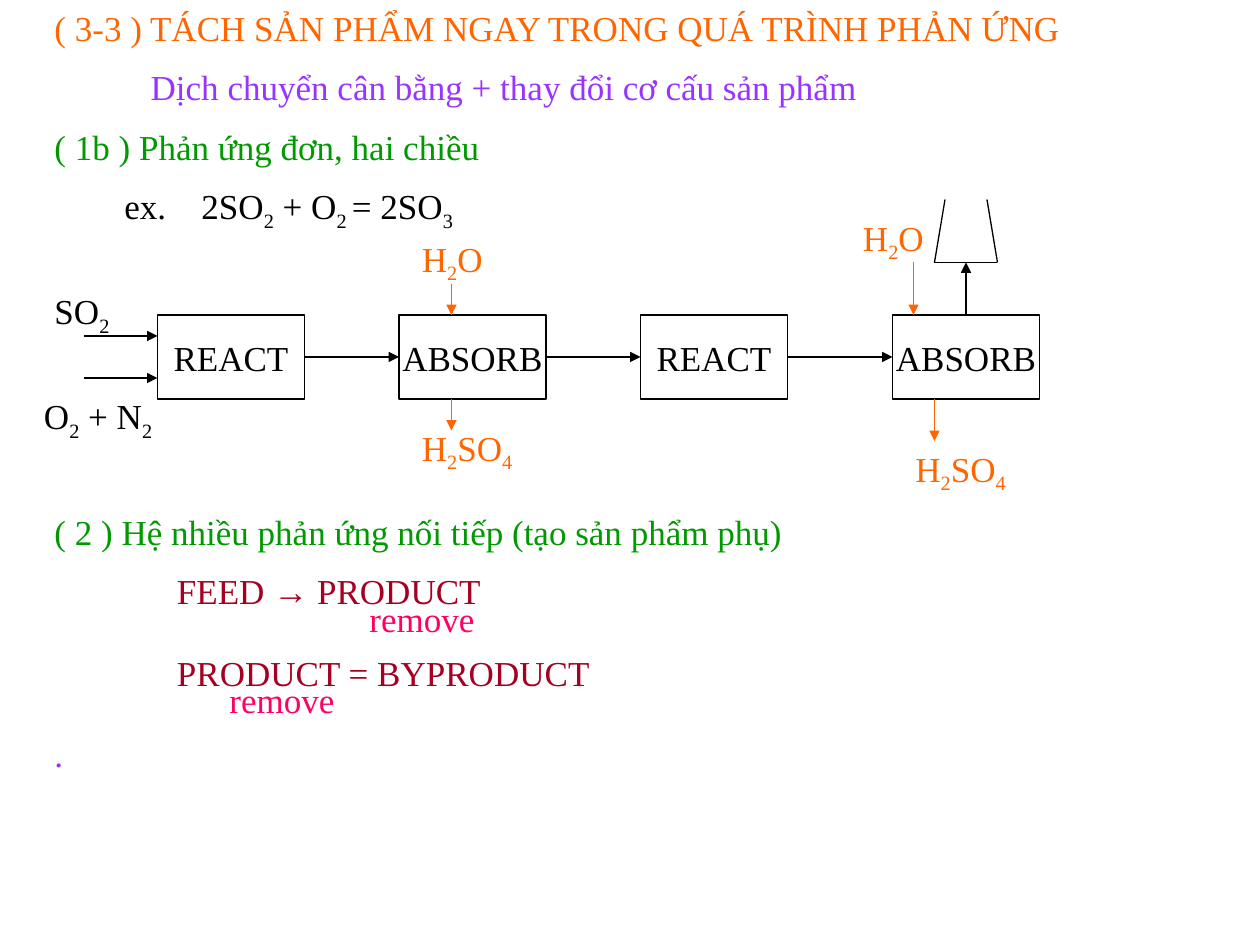
from dataclasses import dataclass

from lxml import etree
from pptx import Presentation
from pptx.dml.color import RGBColor
from pptx.enum.shapes import MSO_CONNECTOR, MSO_SHAPE
from pptx.enum.text import MSO_ANCHOR, MSO_AUTO_SIZE, PP_ALIGN
from pptx.oxml.ns import qn
from pptx.util import Inches, Pt

LINE = MSO_CONNECTOR.STRAIGHT
RECT = MSO_SHAPE.RECTANGLE
GROW = MSO_AUTO_SIZE.SHAPE_TO_FIT_TEXT
MID = MSO_ANCHOR.MIDDLE
MID_X = PP_ALIGN.CENTER

FONT, SIZE = "Times New Roman", Pt(20)
COLS, ROWS = 120, 90  # grid cells across and down
CELL = Inches(10) // COLS
HUES = {
    "ink": "000000", "paper": "FFFFFF", "orange": "FF6600", "violet": "9933FF",
    "green": "009900", "wine": "A50021", "pink": "FF0066",
}


@dataclass
class Para:
    text: str  # pieces between bars are subscripts
    hue: str
    left: float = 0  # margin in columns
    hang: float = 0  # first line pulled back, in columns
    lead: float | None = None  # line spacing


@dataclass
class Note:
    col: float
    row: float
    wide: float
    high: float
    paras: list[Para]


@dataclass
class Unit:
    col: float
    name: str


@dataclass
class Flow:
    x1: float
    y1: float
    x2: float
    y2: float
    hue: str = "ink"
    head: bool = True


TOP, TALL, WIDE = 30, 8, 14  # shared row, height and width of the units
BASE, AXIS = TOP + TALL, TOP + TALL / 2
UNITS = [Unit(15, "REACT"), Unit(38, "ABSORB"), Unit(61, "REACT"), Unit(85, "ABSORB")]

FLOWS = [
    # Feeds
    Flow(8, 32, 15, 32), Flow(8, 36, 15, 36),
    # Links from unit to unit
    *[Flow(a.col + WIDE, AXIS, b.col, AXIS) for a, b in zip(UNITS, UNITS[1:])],
    # Vent and stack
    Flow(92, TOP, 92, 25),
    Flow(90, 19, 89, 25, head=False),
    Flow(89, 25, 95, 25, head=False),
    Flow(95, 25, 94, 19, head=False),
    # Water in, acid out
    Flow(87, 25, 87, TOP, "orange"), Flow(89, BASE, 89, 42, "orange"),
    Flow(43, 27, 43, TOP, "orange"), Flow(43, BASE, 43, 41, "orange"),
]

WATER = [Para("H|2|O", "orange")]
ACID = [Para("H|2|SO|4", "orange")]
LABEL = 5.16  # label height in rows

NOTES = [
    Note(4, 0, 111, 23.16, [
        Para("( 3-3 ) TÁCH SẢN PHẨM NGAY TRONG QUÁ TRÌNH PHẢN ỨNG", "orange"),
        Para("Dịch chuyển cân bằng + thay đổi cơ cấu sản phẩm", "violet", 9.17),
        Para("( 1b ) Phản ứng đơn, hai chiều", "green"),
        Para("ex.\t2SO|2| + O|2 |= 2SO|3", "ink", 14, 7.33),
    ]),
    Note(81, 20, 9, LABEL, WATER),
    Note(86, 42, 12, LABEL, ACID),
    Note(39, 22, 11, LABEL, WATER),
    Note(39, 40, 12, LABEL, ACID),
    Note(4, 27, 10, LABEL, [Para("SO|2", "ink")]),
    Note(3, 37, 14, LABEL, [Para("O|2| + N|2", "ink")]),
    Note(4, 48, 111, 28, [
        Para("( 2 ) Hệ nhiều phản ứng nối tiếp (tạo sản phẩm phụ)", "green"),
        Para("FEED → PRODUCT", "wine", 11.67),
        Para("remove", "pink", 30, lead=0.1),
        Para("PRODUCT = BYPRODUCT", "wine", 11.67),
        Para("remove", "pink", 16.67, lead=0.1),
        Para(".", "violet"),
    ]),
]


def span(*cells: float) -> list[int]:
    return [round(n * CELL) for n in cells]


def tint(hue: str) -> RGBColor:
    return RGBColor.from_string(HUES[hue])


def add_run(para, text: str, hue: str, sub: bool = False) -> None:
    run = para.add_run()
    run.text = text
    run.font.name, run.font.size = FONT, SIZE
    run.font.color.rgb = tint(hue)
    if sub:
        run._r.get_or_add_rPr().set("baseline", "-25000")


def fill_para(para, item: Para) -> None:
    if item.lead:
        para.line_spacing = item.lead
    props = para._p.get_or_add_pPr()
    left, hang = span(item.left, item.hang)
    props.set("marL", str(left))
    props.set("indent", str(-hang))
    # Space before is half a line
    gap = etree.SubElement(props, qn("a:spcBef"))
    etree.SubElement(gap, qn("a:spcPct")).set("val", "50000")
    for i, part in enumerate(item.text.split("|")):
        if part:
            add_run(para, part, item.hue, i % 2 == 1)


def add_note(slide, note: Note) -> None:
    box = slide.shapes.add_textbox(*span(note.col, note.row, note.wide, note.high))
    frame = box.text_frame
    frame.word_wrap = True
    frame.auto_size = GROW
    for i, item in enumerate(note.paras):
        fill_para(frame.add_paragraph() if i else frame.paragraphs[0], item)


def add_unit(slide, unit: Unit) -> None:
    box = slide.shapes.add_shape(RECT, *span(unit.col, TOP, WIDE, TALL))
    box.shadow.inherit = False
    box.fill.solid()
    box.fill.fore_color.rgb = tint("paper")
    box.line.color.rgb = tint("ink")
    box.line.width = Pt(0.75)
    frame = box.text_frame
    frame.word_wrap = False
    frame.vertical_anchor = MID
    para = frame.paragraphs[0]
    para.alignment = MID_X
    add_run(para, unit.name, "ink")


def add_flow(slide, flow: Flow) -> None:
    line = slide.shapes.add_connector(LINE, *span(flow.x1, flow.y1, flow.x2, flow.y2))
    line.line.color.rgb = tint(flow.hue)
    line.line.width = Pt(0.75)
    props = line._element.spPr
    if flow.head:
        etree.SubElement(props.find(qn("a:ln")), qn("a:tailEnd")).set("type", "triangle")
    etree.SubElement(props, qn("a:effectLst"))


def main() -> None:
    deck = Presentation()
    deck.slide_width, deck.slide_height = span(COLS, ROWS)
    slide = deck.slides.add_slide(deck.slide_layouts[6])
    # Heading text first, the rest in front
    add_note(slide, NOTES[0])
    for unit in UNITS:
        add_unit(slide, unit)
    for flow in FLOWS:
        add_flow(slide, flow)
    for note in NOTES[1:]:
        add_note(slide, note)
    deck.save("out.pptx")


if __name__ == "__main__":
    main()
